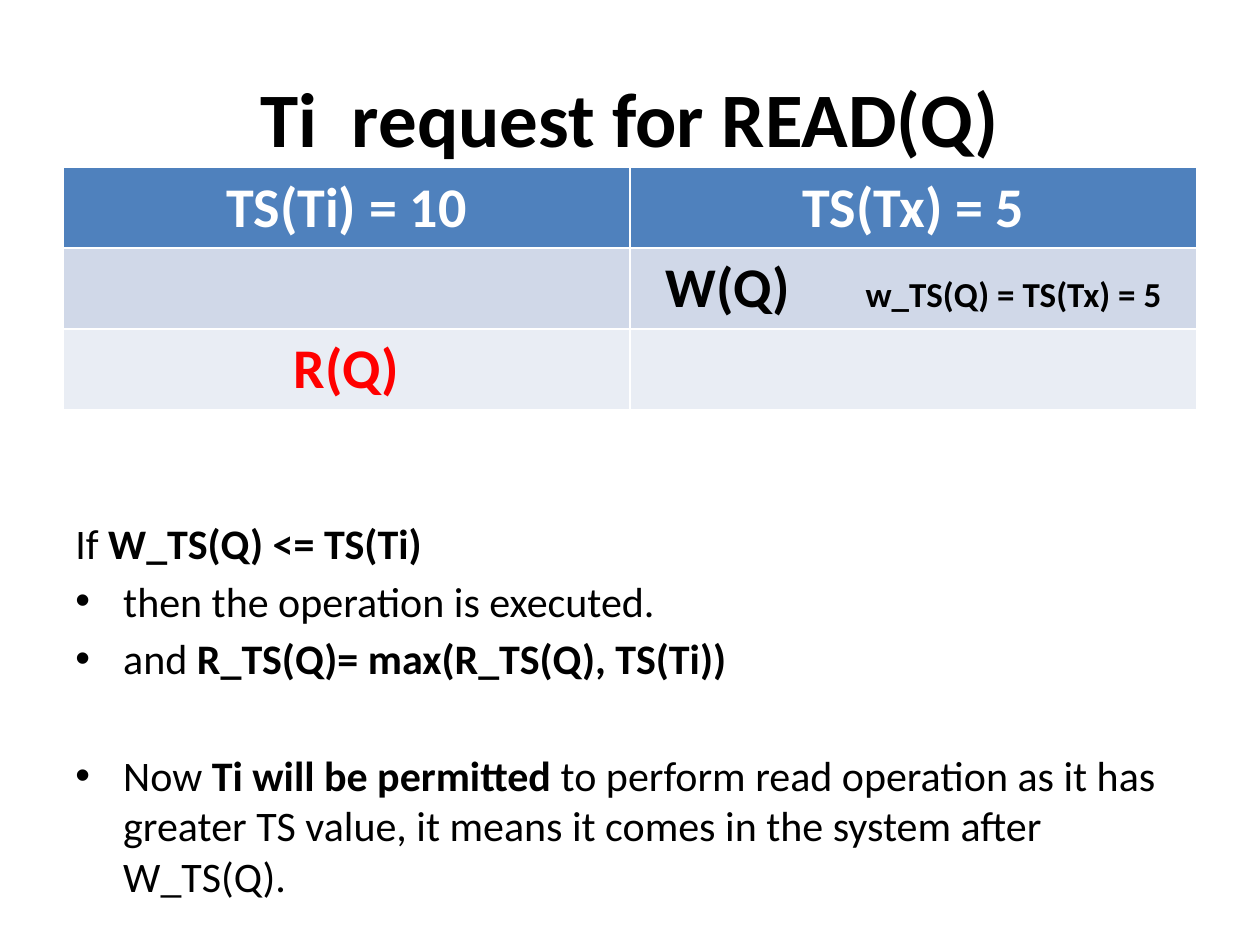
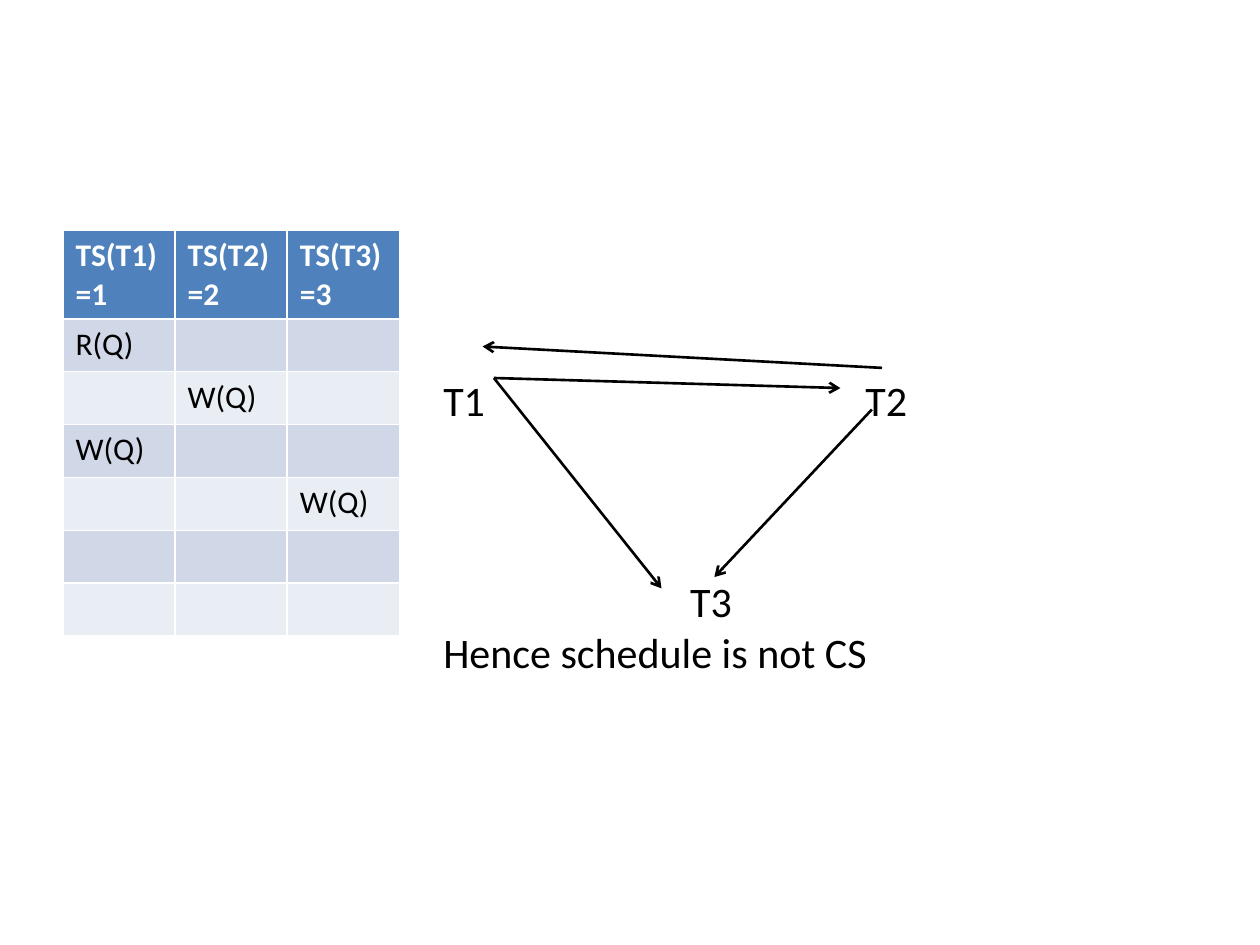
from dataclasses import dataclass

from lxml.etree import SubElement
from pptx import Presentation
from pptx.dml.color import RGBColor as Color
from pptx.enum.shapes import MSO_CONNECTOR as Connector
from pptx.enum.text import MSO_ANCHOR as Anchor, PP_ALIGN as Align
from pptx.oxml.ns import qn
from pptx.util import Inches, Pt


@dataclass(frozen=True)
class Theme:
    font: str = "Calibri"
    black: str = "000000"
    white: str = "FFFFFF"
    red: str = "FF0000"
    header: str = "4F81BD"
    bands: tuple = ("D0D8E8", "E9EDF4")
    title: int = 44
    large_cell: int = 32
    note: int = 20
    body: int = 24
    small_cell: int = 18
    line: float = 1.5


THEME = Theme()


# Text
def add_run(paragraph, text, size, color=THEME.black, bold=False):
    run = paragraph.add_run()
    run.text = text
    formats = {"name": THEME.font, "size": Pt(size), "bold": bold}
    for name, value in formats.items():
        setattr(run.font, name, value)
    run.font.color.rgb = Color.from_string(color)


def add_text_frame(slide, left, top, width, height, anchor=Anchor.TOP):
    box = slide.shapes.add_textbox(*map(Inches, (left, top, width, height)))
    frame = box.text_frame
    frame.word_wrap = True
    frame.vertical_anchor = anchor
    return frame


def add_title(slide, text):
    frame = add_text_frame(slide, 0.5, 0.3, 9, 1.25, Anchor.MIDDLE)
    paragraph = frame.paragraphs[0]
    paragraph.alignment = Align.CENTER
    add_run(paragraph, text, THEME.title, bold=True)


def add_label(slide, text, left, top, width=0.6):
    frame = add_text_frame(slide, left, top, width, 0.5)
    add_run(frame.paragraphs[0], text, THEME.body)


def set_bullet(paragraph, indent=0.38):
    properties = paragraph._p.get_or_add_pPr()
    properties.set("marL", str(Inches(indent)))
    properties.set("indent", str(-Inches(indent)))
    SubElement(properties, qn("a:buFont"), typeface="Arial")
    SubElement(properties, qn("a:buChar"), char="•")


def set_tab(paragraph, position):
    properties = paragraph._p.get_or_add_pPr()
    tabs = SubElement(properties, qn("a:tabLst"))
    SubElement(tabs, qn("a:tab"), pos=str(Inches(position)), algn="l")


def add_body(slide, lines):
    """Each line is (space before, bulleted, [(text, bold), ...])."""
    frame = add_text_frame(slide, 0.5, 4.06, 9, 3.15)
    for number, (space, bulleted, runs) in enumerate(lines):
        paragraph = frame.add_paragraph() if number else frame.paragraphs[0]
        paragraph.space_before = Pt(space)
        if bulleted:
            set_bullet(paragraph)
        for text, bold in runs:
            add_run(paragraph, text, THEME.body, bold=bold)


# Tables and arrows
def add_banded_table(slide, rows, left, top, width, heights, size, align, bold=False):
    shape = slide.shapes.add_table(
        len(rows), len(rows[0]),
        *map(Inches, (left, top, width, sum(heights))))
    table = shape.table
    for row_number, texts in enumerate(rows):
        table.rows[row_number].height = Inches(heights[row_number])
        is_header = row_number == 0
        fill = THEME.header if is_header else THEME.bands[(row_number - 1) % 2]
        for column, text in enumerate(texts):
            cell = table.cell(row_number, column)
            cell.fill.solid()
            cell.fill.fore_color.rgb = Color.from_string(fill)
            paragraph = cell.text_frame.paragraphs[0]
            paragraph.alignment = align
            if text:
                color = THEME.white if is_header else THEME.black
                add_run(paragraph, text, size, color, bold or is_header)
    return table


def add_arrow(slide, start, end):
    connector = slide.shapes.add_connector(
        Connector.STRAIGHT, *map(Inches, (*start, *end)))
    connector.line.color.rgb = Color.from_string(THEME.black)
    connector.line.width = Pt(THEME.line)
    SubElement(connector.line._get_or_add_ln(), qn("a:tailEnd"), type="arrow")
    SubElement(connector._element.spPr, qn("a:effectLst"))


# Slides
def build_read_request(slide):
    add_title(slide, "Ti  request for READ(Q)")
    add_body(slide, [
        (0, False, [("If ", False), ("W_TS(Q) <= TS(Ti)", True)]),
        (4, True, [("then the operation is executed.", False)]),
        (4, True, [("and ", False), ("R_TS(Q)= max(R_TS(Q), TS(Ti))", True)]),
        (38, True, [
            ("Now ", False), ("Ti will be permitted ", True),
            ("to perform read operation as it has greater TS value, "
             "it means it comes in the system after W_TS(Q).", False)]),
    ])
    rows = [("TS(Ti) = 10", "TS(Tx) = 5"), ("", "W(Q)\t"), ("R(Q)", "")]
    table = add_banded_table(slide, rows, 0.5, 1.33, 9, [0.64] * 3,
                             THEME.large_cell, Align.CENTER, bold=True)

    # The write carries its timestamp note; the read stands out in red
    write_cell = table.cell(1, 1)
    write_cell.margin_left = Inches(0.28)
    write = write_cell.text_frame.paragraphs[0]
    write.alignment = Align.LEFT
    set_tab(write, 1.59)
    add_run(write, "w_TS(Q) = TS(Tx) = 5", THEME.note, bold=True)
    read = table.cell(2, 0).text_frame.paragraphs[0]
    read.runs[0].font.color.rgb = Color.from_string(THEME.red)


def build_precedence_graph(slide):
    # Graph nodes and conclusion
    for text, left, top in (("T1", 3.42, 2.92), ("T2", 6.77, 2.92), ("T3", 5.38, 4.52)):
        add_label(slide, text, left, top)
    add_label(slide, "Hence schedule is not CS", 3.42, 4.92, 6.08)

    # Schedule: the column of each operation, in order of time
    operations = [("R(Q)", 0), ("W(Q)", 1), ("W(Q)", 0), ("W(Q)", 2), ("", 0), ("", 0)]
    rows = [[f"TS(T{number})={number}" for number in (1, 2, 3)]]
    rows += [[text if column == place else "" for column in range(3)]
             for text, place in operations]
    add_banded_table(slide, rows, 0.5, 1.83, 2.67, [0.69] + [0.42] * 6,
                     THEME.small_cell, Align.LEFT)

    # Graph edges
    for start, end in (
        ((3.92, 3), (5.25, 4.67)),
        ((3.92, 3), (6.67, 3.08)),
        ((6.92, 3.25), (5.67, 4.58)),
        ((7, 2.92), (3.83, 2.75)),
    ):
        add_arrow(slide, start, end)


def main():
    presentation = Presentation()
    presentation.slide_width = Inches(10)
    presentation.slide_height = Inches(7.5)
    blank = presentation.slide_layouts[6]
    for build in (build_read_request, build_precedence_graph):
        build(presentation.slides.add_slide(blank))
    presentation.save("out.pptx")


main()
